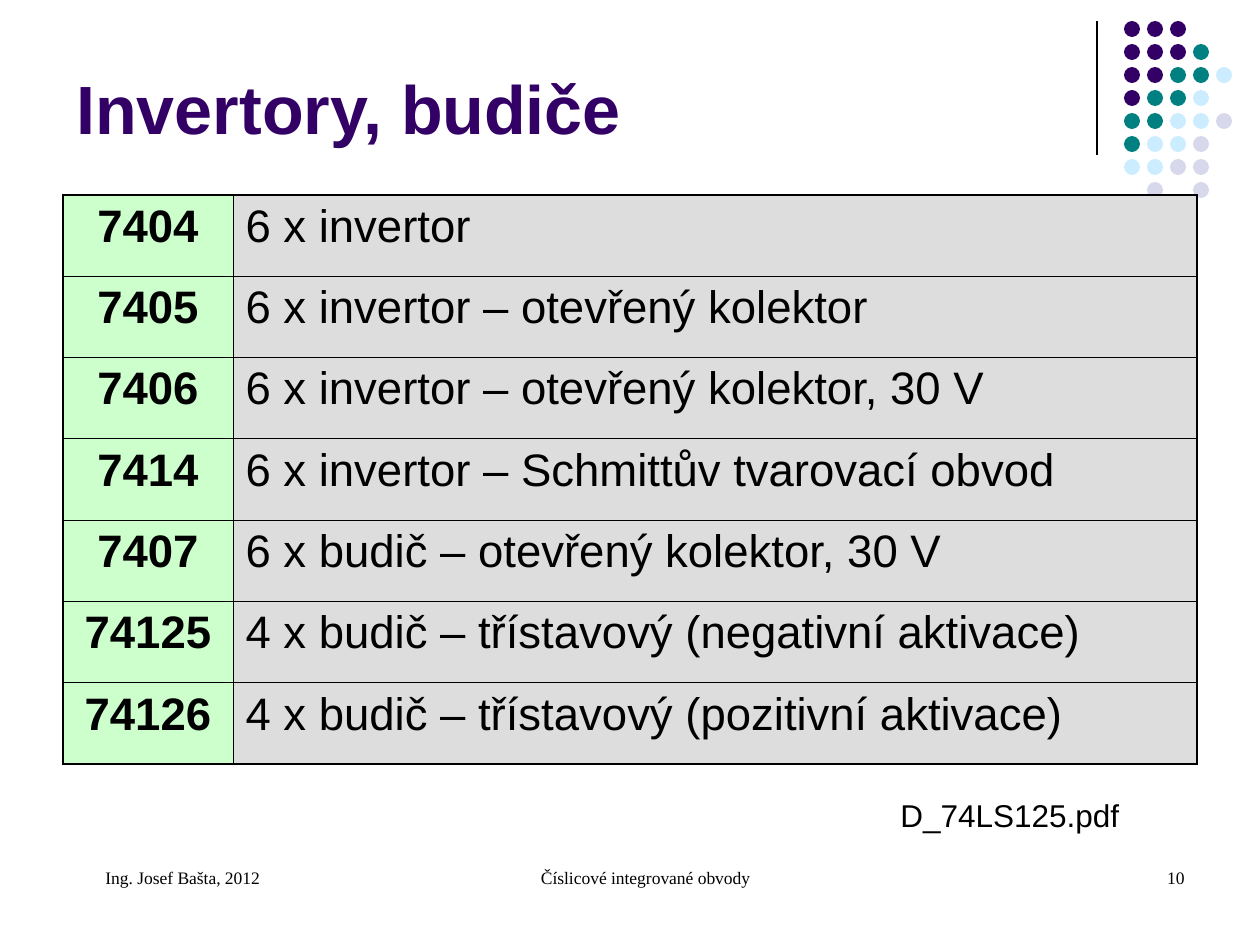
import lxml.etree
import pptx
import pptx.dml.color
import pptx.enum.shapes
import pptx.enum.text
import pptx.oxml.ns
import pptx.util

ALIGN = pptx.enum.text.PP_ALIGN
ANCHOR = pptx.enum.text.MSO_ANCHOR
THICK, THIN = 1.08, 0.45
BLACK = "000000"

DOT_COLORS = {"p": "330066", "t": "008080", "b": "CCECFF", "l": "D8D8EC"}
DOT_ROWS = ["ppp", "pppt", "ppttb", "pttb", "ttbbl", "tbbl", "bbll", " l l"]

CIRCUITS = [
    ("7404", "6 x invertor"),
    ("7405", "6 x invertor – otevřený kolektor"),
    ("7406", "6 x invertor – otevřený kolektor, 30 V"),
    ("7414", "6 x invertor – Schmittův tvarovací obvod"),
    ("7407", "6 x budič – otevřený kolektor, 30 V"),
    ("74125", "4 x budič – třístavový (negativní aktivace)"),
    ("74126", "4 x budič – třístavový (pozitivní aktivace)"),
]


def px(value):
    return pptx.util.Emu(round(value * 914400 / 126))


def rgb(color):
    return pptx.dml.color.RGBColor.from_string(color)


def format_text(text_frame, text, size, font="Arial", color=BLACK, bold=False, align=ALIGN.LEFT):
    text_frame.text = text
    paragraph = text_frame.paragraphs[0]
    paragraph.alignment = align
    run_font = paragraph.runs[0].font
    run_font.name = font
    run_font.size = pptx.util.Pt(size)
    run_font.bold = bold
    run_font.color.rgb = rgb(color)


def add_text(slide, box, text, size, anchor=ANCHOR.TOP, indent=0, **style):
    text_frame = slide.shapes.add_textbox(*map(px, box)).text_frame
    text_frame.word_wrap = True
    text_frame.vertical_anchor = anchor
    format_text(text_frame, text, size, **style)
    if indent:
        text_frame.paragraphs[0]._p.get_or_add_pPr().set("marL", str(px(indent)))


def add_divider(slide):
    line = slide.shapes.add_connector(
        pptx.enum.shapes.MSO_CONNECTOR.STRAIGHT, px(1097), px(21), px(1097), px(155))
    line.line.color.rgb = rgb(BLACK)
    line.line.width = pptx.util.Pt(0.75)
    lxml.etree.SubElement(line._element.spPr, pptx.oxml.ns.qn("a:effectLst"))


def add_dots(slide, left, top, size, pitch):
    group = slide.shapes.add_group_shape()
    for row, codes in enumerate(DOT_ROWS):
        for column, code in enumerate(codes):
            if code == " ":
                continue
            dot = group.shapes.add_shape(
                pptx.enum.shapes.MSO_SHAPE.OVAL,
                px(left + column * pitch), px(top + row * pitch), px(size), px(size))
            dot.shadow.inherit = False
            dot.fill.solid()
            dot.fill.fore_color.rgb = rgb(DOT_COLORS[code])
            dot.line.fill.background()


def set_borders(cell, **widths):
    properties = cell._tc.get_or_add_tcPr()
    for side in "LRTB":
        line = lxml.etree.SubElement(
            properties, pptx.oxml.ns.qn("a:ln" + side), w=str(pptx.util.Pt(widths[side])))
        fill = lxml.etree.SubElement(line, pptx.oxml.ns.qn("a:solidFill"))
        lxml.etree.SubElement(fill, pptx.oxml.ns.qn("a:srgbClr"), val=BLACK)


def add_circuit_table(slide):
    last = len(CIRCUITS) - 1
    table = slide.shapes.add_table(
        len(CIRCUITS), 2, px(63), px(195), px(1134), px(569)).table
    table.first_row = False
    table.horz_banding = False
    table.columns[0].width = px(170)
    table.columns[1].width = px(964)
    for row, texts in enumerate(CIRCUITS):
        for column, text in enumerate(texts):
            cell = table.cell(row, column)
            is_code = column == 0
            set_borders(
                cell,
                L=THICK if is_code else THIN,
                R=THIN if is_code else THICK,
                T=THICK if row == 0 else THIN,
                B=THICK if row == last else THIN)
            cell.fill.solid()
            cell.fill.fore_color.rgb = rgb("CCFFCC" if is_code else "DDDDDD")
            format_text(cell.text_frame, text, 26, bold=is_code,
                        align=ALIGN.CENTER if is_code else ALIGN.LEFT)


def add_footer(slide, left, width, text, align):
    add_text(slide, (left, 861, width, 63), text, 10, indent=30,
             font="Times New Roman", align=align)


def main():
    presentation = pptx.Presentation()
    presentation.slide_width = px(1260)
    presentation.slide_height = px(945)
    slide = presentation.slides.add_slide(presentation.slide_layouts[6])
    add_divider(slide)
    add_dots(slide, 1124, 21, 16, 23)
    add_text(slide, (64, 45, 1040, 109), "Invertory, budiče", 39,
             anchor=ANCHOR.BOTTOM, color="330066", bold=True)
    add_circuit_table(slide)
    add_text(slide, (888, 790, 263, 50), "D_74LS125.pdf", 18)
    add_footer(slide, 431, 399, "Číslicové integrované obvody", ALIGN.CENTER)
    add_footer(slide, 903, 294, "10", ALIGN.RIGHT)
    add_footer(slide, 63, 294, "Ing. Josef Bašta, 2012", ALIGN.LEFT)
    presentation.save("out.pptx")


if __name__ == "__main__":
    main()
